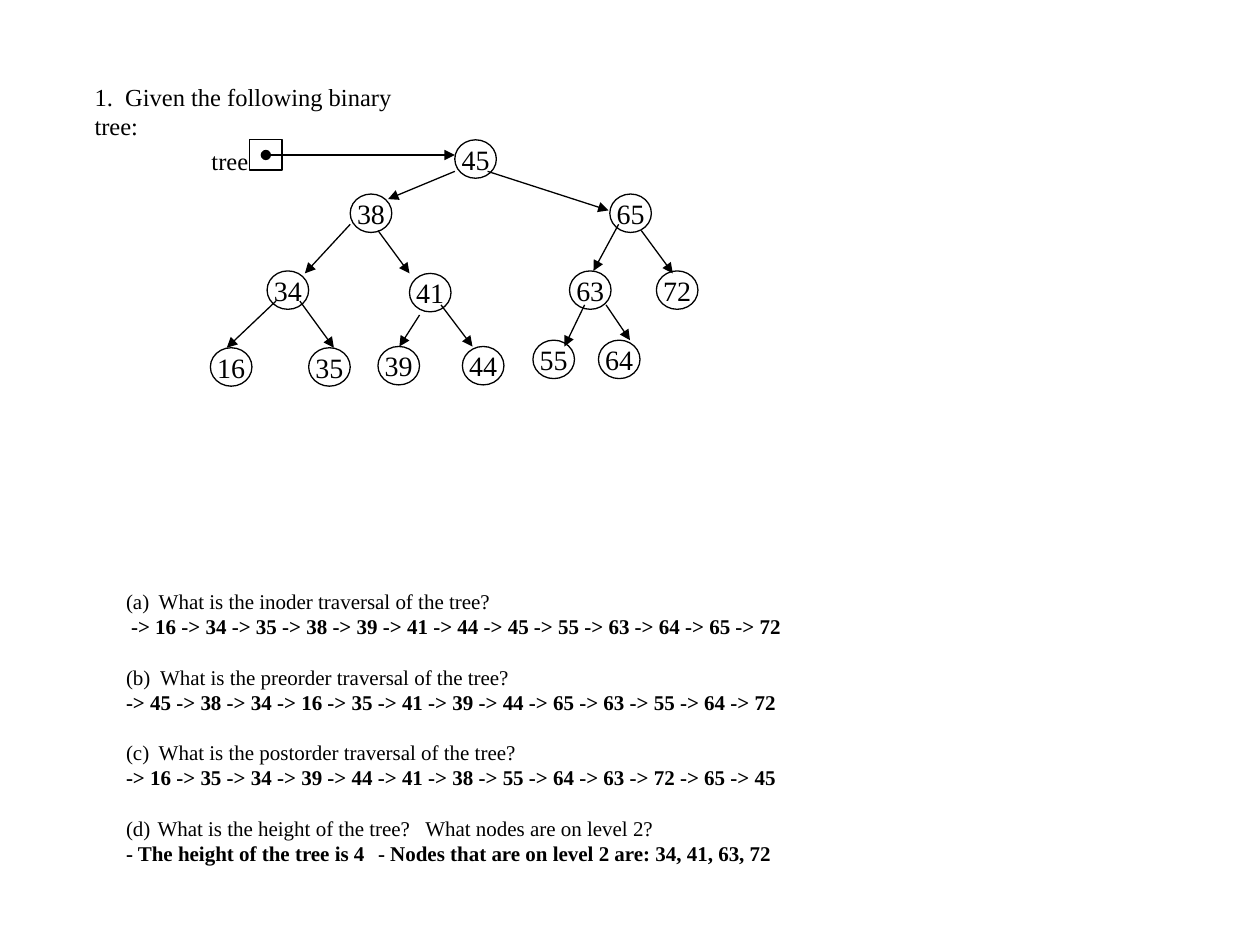
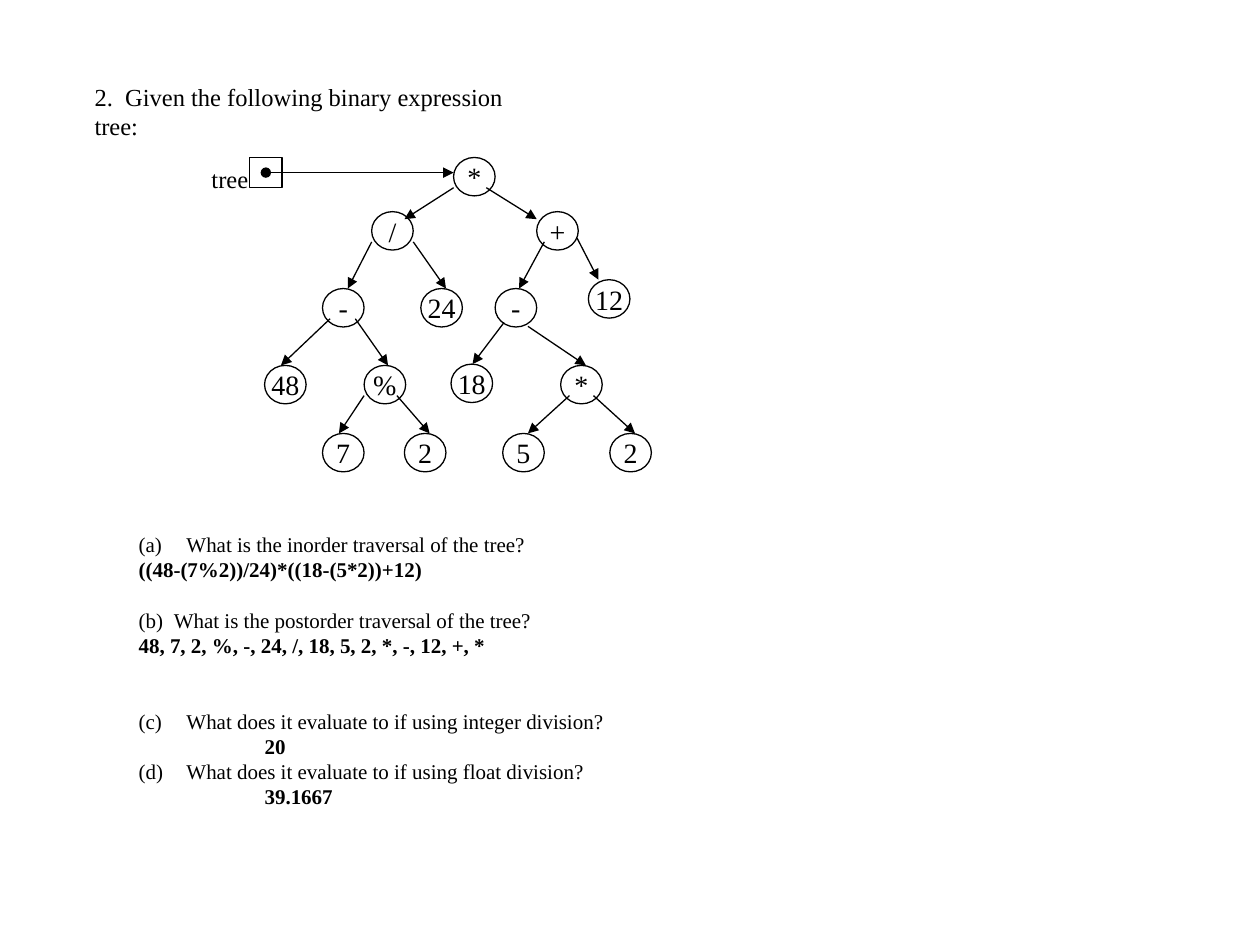
import pptx
import pptx.util
import pptx.dml.color
import pptx.enum.shapes
import pptx.enum.text
import pptx.oxml
import pptx.oxml.ns

INK = pptx.dml.color.RGBColor(0x00, 0x00, 0x00)
FONT = "Times New Roman"
TITLE_SIZE, QUESTION_SIZE, NODE_SIZE = 14, 12, 16
BLANK_LINE = 14.4

SLIDE_WIDTH = pptx.util.Inches(10)
SLIDE_HEIGHT = pptx.util.Inches(7.5)
COLUMN = SLIDE_WIDTH // 100
ROW = SLIDE_HEIGHT // 75

NODE_WIDTH, NODE_HEIGHT = 3.3, 3.05
POINTER_LEFT, POINTER_WIDTH, POINTER_HEIGHT = 4, 2.6, 2.4

# Each node: label, column, row, then the start and end of the arrow from its parent.
SEARCH_TREE = [
    ("45", 20.3, 0, None, None),
    ("38", 12, 4.3, (20.3, 2.5), (15, 4.7)),
    ("65", 32.6, 4.3, (22.9, 2.5), (32.5, 5.6)),
    ("34", 5.4, 10.4, (12, 6.7), (8.4, 10.6)),
    ("41", 16.7, 10.6, (14.2, 7.2), (16.7, 10.6)),
    ("63", 29.4, 10.4, (33.3, 6.7), (31.3, 10.4)),
    ("72", 36.3, 10.4, (35.1, 7.2), (37.6, 10.6)),
    ("16", 0.9, 16.5, (6.1, 12.8), (2.2, 16.5)),
    ("35", 8.7, 16.5, (8, 12.8), (10.7, 16.5)),
    ("39", 14.2, 16.4, (17.5, 13.9), (15.9, 16.4)),
    ("44", 20.9, 16.4, (19.2, 13.1), (21.7, 16.4)),
    ("55", 26.5, 15.9, (30.6, 13.1), (29, 16.4)),
    ("64", 31.7, 15.9, (32.3, 13.1), (34.2, 15.9)),
]
EXPRESSION_TREE = [
    ("*", 20.2, 0, None, None),
    ("/", 13.7, 4.3, (20.2, 2.4), (16.3, 4.9)),
    ("+", 26.8, 4.3, (22.8, 2.4), (26.8, 4.9)),
    ("-", 9.8, 10.4, (13.7, 6.7), (11.8, 10.4)),
    ("24", 17.6, 10.4, (17, 6.7), (19.6, 10.4)),
    ("-", 23.5, 10.4, (27.4, 6.7), (25.4, 10.4)),
    ("12", 30.9, 9.7, (30, 6.4), (31.7, 9.7)),
    ("48", 5.2, 16.5, (10.4, 12.8), (6.5, 16.5)),
    ("%", 13.1, 16.5, (12.4, 12.8), (15, 16.5)),
    ("18", 20, 16.4, (24.2, 13.1), (21.7, 16.4)),
    ("*", 28.7, 16.5, (26.1, 13.4), (30.7, 16.5)),
    ("7", 9.8, 21.9, (13.1, 18.9), (11.1, 21.9)),
    ("2", 16.3, 21.9, (15.7, 18.9), (18.3, 21.9)),
    ("5", 24.1, 21.9, (29.4, 18.9), (26.1, 21.9)),
    ("2", 32.6, 21.9, (31.3, 18.9), (34.6, 21.9)),
]

# Each item: question, its hanging indent, answer, its indent (both in columns),
# and the number of lines left free above the question.
TRAVERSAL_QUESTIONS = [
    ("What is the inoder traversal of the tree?", 2.6,
     "-> 16 -> 34 -> 35 -> 38 -> 39 -> 41 -> 44 -> 45 -> 55 -> 63 -> 64 -> 65 -> 72", 0.4, 0),
    ("What is the preorder traversal of the tree?", 2.7,
     "-> 45 -> 38 -> 34 -> 16 -> 35 -> 41 -> 39 -> 44 -> 65 -> 63 -> 55 -> 64 -> 72", 0, 1),
    ("What is the postorder traversal of the tree?", 2.6,
     "-> 16 -> 35 -> 34 -> 39 -> 44 -> 41 -> 38 -> 55 -> 64 -> 63 -> 72 -> 65 -> 45", 0, 1),
    ("What is the height of the tree?   What nodes are on level 2?", 2.5,
     "- The height of the tree is 4\t- Nodes that are on level 2 are: 34, 41, 63, 72", 0, 1),
]
EXPRESSION_QUESTIONS = [
    ("What is the inorder traversal of the tree?", 3.8,
     "((48-(7%2))/24)*((18-(5*2))+12)", 0, 0),
    ("What is the postorder traversal of the tree?", 2.8,
     "48, 7, 2, %, -, 24, /, 18, 5, 2, *, -, 12, +, *", 0, 1),
    ("What does it evaluate to if using integer division?", 3.8, "20", 10, 2),
    ("What does it evaluate to if using float division?", 3.8, "39.1667", 10, 0),
]
SECOND_ANSWER_TAB = 24.3


def grid_box(left, top, width, height):
    return int(left * COLUMN), int(top * ROW), int(width * COLUMN), int(height * ROW)


def place(shape, box):
    shape.left, shape.top, shape.width, shape.height = grid_box(*box)


def add_xml(parent, tag, **attributes):
    child = pptx.oxml.parse_xml(f"<a:{tag} {pptx.oxml.ns.nsdecls('a')}/>")
    for name, value in attributes.items():
        child.set(name, str(value))
    parent.append(child)
    return child


def format_runs(paragraph, size, bold=False):
    for run in paragraph.runs:
        run.font.name = FONT
        run.font.size = pptx.util.Pt(size)
        run.font.bold = bold
        run.font.color.rgb = INK


def fill_title(slide, text, box):
    title = slide.shapes.title
    place(title, box)
    frame = title.text_frame
    frame.text = text
    frame.word_wrap = True
    frame.auto_size = pptx.enum.text.MSO_AUTO_SIZE.NONE
    frame.vertical_anchor = pptx.enum.text.MSO_ANCHOR.TOP
    frame.paragraphs[0].alignment = pptx.enum.text.PP_ALIGN.LEFT
    format_runs(frame.paragraphs[0], TITLE_SIZE)


def indent(paragraph, left, hanging=0):
    properties = paragraph._p.get_or_add_pPr()
    properties.set("marL", str(int(left * COLUMN)))
    properties.set("indent", str(int(-hanging * COLUMN)))
    return properties


def fill_questions(slide, questions, box):
    body = slide.placeholders[1]
    place(body, box)
    frame = body.text_frame
    frame.word_wrap = True
    frame.auto_size = pptx.enum.text.MSO_AUTO_SIZE.NONE
    for number, (question, hanging, answer, answer_indent, gap) in enumerate(questions, 1):
        asked = frame.paragraphs[0] if number == 1 else frame.add_paragraph()
        asked.text = question
        asked.space_before = pptx.util.Pt(gap * BLANK_LINE)
        format_runs(asked, QUESTION_SIZE)
        add_xml(indent(asked, hanging, hanging), "buAutoNum",
                type="alphaLcParenBoth", startAt=number)

        answered = frame.add_paragraph()
        answered.text = answer
        answered.space_before = pptx.util.Pt(0)
        format_runs(answered, QUESTION_SIZE, bold=True)
        properties = indent(answered, answer_indent)
        add_xml(properties, "buNone")
        if "\t" in answer:
            stops = add_xml(properties, "tabLst")
            add_xml(stops, "tab", pos=int(SECOND_ANSWER_TAB * COLUMN), algn="l")


def add_outline(slide, preset, box):
    outline = slide.shapes.add_shape(preset, *grid_box(*box))
    outline.shadow.inherit = False
    outline.fill.background()
    outline.line.color.rgb = INK
    outline.line.width = pptx.util.Pt(0.75)
    return outline


def add_node(slide, label, left, top):
    node = add_outline(slide, pptx.enum.shapes.MSO_SHAPE.OVAL,
                       (left, top, NODE_WIDTH, NODE_HEIGHT))
    frame = node.text_frame
    frame.text = label
    frame.word_wrap = False
    frame.vertical_anchor = pptx.enum.text.MSO_ANCHOR.MIDDLE
    frame.paragraphs[0].alignment = pptx.enum.text.PP_ALIGN.CENTER
    format_runs(frame.paragraphs[0], NODE_SIZE)


def add_arrow(slide, start, end, dot_at_start=False):
    arrow = slide.shapes.add_connector(
        pptx.enum.shapes.MSO_CONNECTOR.STRAIGHT,
        int(start[0] * COLUMN), int(start[1] * ROW), int(end[0] * COLUMN), int(end[1] * ROW))
    arrow.line.color.rgb = INK
    arrow.line.width = pptx.util.Pt(0.75)
    line = arrow.line._get_or_add_ln()
    if dot_at_start:
        add_xml(line, "headEnd", type="oval")
    add_xml(line, "tailEnd", type="triangle")
    add_xml(arrow._element.spPr, "effectLst")


def add_tree_pointer(slide, left, top, root_left):
    """Draw the labelled pointer box and its arrow to the root node."""
    box_left = left + POINTER_LEFT
    add_outline(slide, pptx.enum.shapes.MSO_SHAPE.RECTANGLE,
                (box_left, top, POINTER_WIDTH, POINTER_HEIGHT))
    caption = slide.shapes.add_textbox(*grid_box(left, top, 4.9, 3.3)).text_frame
    caption.text = "tree"
    caption.word_wrap = False
    format_runs(caption.paragraphs[0], TITLE_SIZE)
    middle = top + POINTER_HEIGHT / 2
    add_arrow(slide, (box_left + POINTER_WIDTH / 2, middle), (root_left, middle),
              dot_at_start=True)


def add_tree(slide, nodes, left, top):
    for label, column, row, start, end in nodes:
        add_node(slide, label, left + column, top + row)
        if start:
            add_arrow(slide, (left + start[0], top + start[1]), (left + end[0], top + end[1]))
    add_tree_pointer(slide, left, top, left + nodes[0][1])


def add_exercise(deck, title, title_width, nodes, tree_top, questions, questions_box):
    slide = deck.slides.add_slide(deck.slide_layouts[1])
    fill_title(slide, title, (6.5, 6, title_width, 5.6))
    fill_questions(slide, questions, questions_box)
    add_tree(slide, nodes, 15.8, tree_top)


def main():
    deck = pptx.Presentation()
    deck.slide_width, deck.slide_height = SLIDE_WIDTH, SLIDE_HEIGHT
    add_exercise(deck, "1.  Given the following binary tree:", 29,
                 SEARCH_TREE, 11.1, TRAVERSAL_QUESTIONS, (9, 46.2, 58.5, 25.2))
    add_exercise(deck, "2.  Given the following binary expression tree:", 37.8,
                 EXPRESSION_TREE, 12.5, EXPRESSION_QUESTIONS, (10, 41.7, 39.4, 27.3))
    deck.save("out.pptx")


if __name__ == "__main__":
    main()
